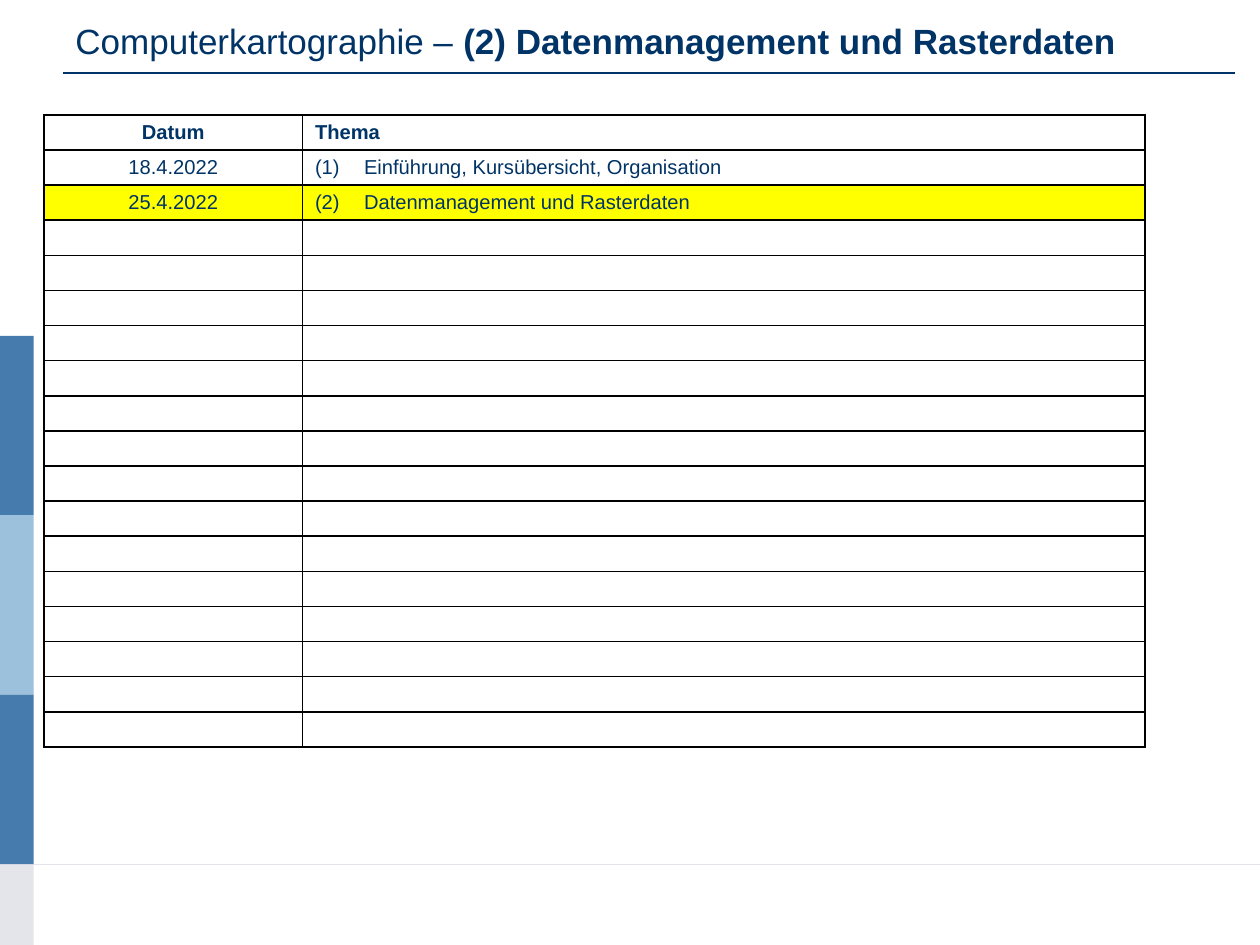
from itertools import pairwise

from lxml import etree
from pptx import Presentation
from pptx.dml.color import RGBColor
from pptx.enum.shapes import MSO_CONNECTOR, MSO_SHAPE
from pptx.enum.text import MSO_ANCHOR, PP_ALIGN
from pptx.oxml.ns import qn
from pptx.util import Pt

RECT = MSO_SHAPE.RECTANGLE
STRAIGHT = MSO_CONNECTOR.STRAIGHT
MIDDLE = MSO_ANCHOR.MIDDLE
CENTER, LEFT = PP_ALIGN.CENTER, PP_ALIGN.LEFT

NAVY = RGBColor(0x00, 0x33, 0x66)
BLUE = RGBColor(0x45, 0x7B, 0xAD)
SKY = RGBColor(0x9C, 0xC1, 0xDD)
PALE = RGBColor(0xE4, 0xE5, 0xEA)
YELLOW = RGBColor(0xFF, 0xFF, 0x00)

FONT = "Arial"
ROWS = 18
ENTRIES = [
    ("Datum", "Thema"),
    ("18.4.2022", "(1)\tEinführung, Kursübersicht, Organisation"),
    ("25.4.2022", "(2)\tDatenmanagement und Rasterdaten"),
]
CURRENT = 2


def style(font, size, bold=None):
    """Give a font the slide's typeface and colour."""
    font.name = FONT
    font.size = Pt(size)
    font.bold = bold
    font.color.rgb = NAVY


def add_rule(slide, left, right, y, color, weight):
    """Draw a horizontal line without shadow."""
    rule = slide.shapes.add_connector(STRAIGHT, Pt(left), Pt(y), Pt(right), Pt(y))
    rule.line.color.rgb = color
    rule.line.width = Pt(weight)
    etree.SubElement(rule._element.spPr, qn("a:effectLst"))


def add_side(slide, left, width, edges, colors, right):
    """Stack the colour bars and draw the footer line at the last joint."""
    add_rule(slide, left, right, edges[-2], PALE, 0.5)
    for (top, bottom), color in zip(pairwise(edges), colors):
        bar = slide.shapes.add_shape(RECT, Pt(left), Pt(top), Pt(width), Pt(bottom - top))
        bar.shadow.inherit = False
        bar.fill.solid()
        bar.fill.fore_color.rgb = color
        bar.line.fill.background()


def add_title(slide, left, top, width, height):
    """Write the course name with the session in bold, and the line below."""
    frame = slide.shapes.add_textbox(Pt(left), Pt(top), Pt(width), Pt(height)).text_frame
    frame.word_wrap = True
    frame.vertical_anchor = MIDDLE
    para = frame.paragraphs[0]
    style(para.font, 20)
    para.add_run().text = "Computerkartographie – "
    topic = para.add_run()
    topic.text = "(2) Datenmanagement und Rasterdaten"
    topic.font.bold = True
    add_rule(slide, left, 705.6, 41.8, NAVY, 0.75)


def add_border(cell):
    """Draw thin black lines on all four sides of a cell."""
    props = cell._tc.get_or_add_tcPr()
    for place, side in enumerate(("lnL", "lnR", "lnT", "lnB")):
        line = etree.Element(qn(f"a:{side}"), w=str(Pt(1)))
        fill = etree.SubElement(line, qn("a:solidFill"))
        etree.SubElement(fill, qn("a:srgbClr"), val="000000")
        props.insert(place, line)


def fill_cell(cell, text, row, col):
    """Format one schedule cell and write its text."""
    cell.margin_top = cell.margin_bottom = Pt(1)
    cell.vertical_anchor = MIDDLE
    if row == CURRENT:
        cell.fill.solid()
        cell.fill.fore_color.rgb = YELLOW
    else:
        cell.fill.background()
    add_border(cell)
    para = cell.text_frame.paragraphs[0]
    para.alignment = LEFT if col else CENTER
    if "\t" in text:
        props = para._p.get_or_add_pPr()
        props.set("marL", str(Pt(28)))
        props.set("indent", str(Pt(-28)))
    style(para.font, 11.5, row == 0)
    if text:
        para.text = text
    else:
        etree.SubElement(para._p, qn("a:endParaRPr"), sz="1150")


def add_plan(slide, left, top, widths, height):
    """Build the schedule table with equal rows."""
    table = slide.shapes.add_table(
        ROWS, len(widths), Pt(left), Pt(top), Pt(sum(widths)), Pt(height)
    ).table
    table.first_row = table.horz_banding = False
    for column, width in zip(table.columns, widths):
        column.width = Pt(width)
    for row in range(ROWS):
        table.rows[row].height = Pt(height / ROWS)
        texts = ENTRIES[row] if row < len(ENTRIES) else ("", "")
        for col, text in enumerate(texts):
            fill_cell(table.cell(row, col), text, row, col)


def main():
    """Build and save the slide."""
    deck = Presentation()
    deck.slide_width, deck.slide_height = Pt(720), Pt(540)
    slide = deck.slides.add_slide(deck.slide_layouts[6])
    edges = [192, 294.3, 397, 494, 540]
    add_side(slide, 0, 19.3, edges, [BLUE, SKY, BLUE, PALE], 720)
    add_title(slide, 36, 3.6, 648, 39.6)
    add_plan(slide, 25.2, 65.6, [147.6, 481.4], 361.5)
    deck.save("out.pptx")


if __name__ == "__main__":
    main()
